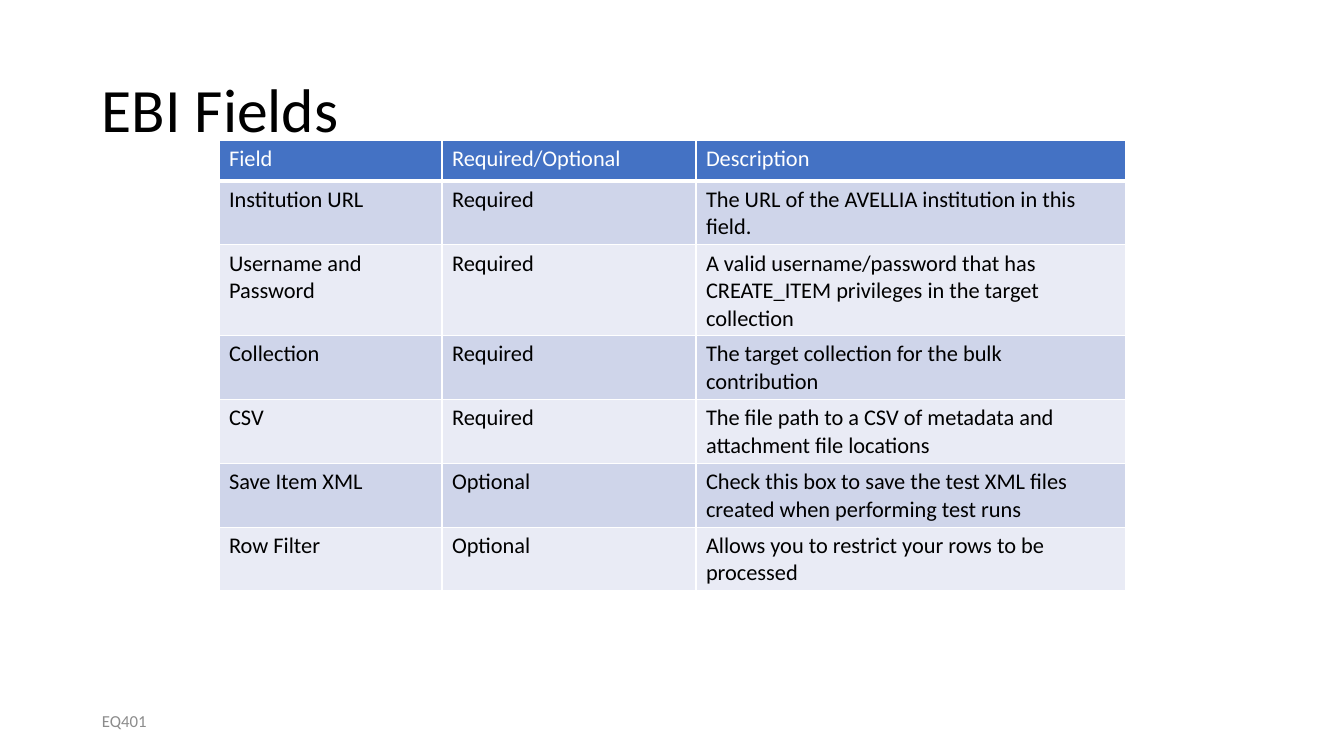
from lxml import etree
from pptx import Presentation
from pptx.dml.color import RGBColor
from pptx.enum.text import MSO_ANCHOR
from pptx.oxml.ns import qn
from pptx.util import Pt

MIDDLE = MSO_ANCHOR.MIDDLE
FONT = "Calibri"
EMU_PER_PX = 914400 / 100.8
WHITE, BLACK, GREY = "FFFFFF", "000000", "8C8C8C"
HEADER_BLUE, DARK_BAND, LIGHT_BAND = "4472C4", "CFD5EA", "E9EBF5"


def px(length):
    return round(length * EMU_PER_PX)


def style_text(frame, size, color):
    for para in frame.paragraphs:
        for span in para.runs:
            span.font.name = FONT
            span.font.size = Pt(size)
            span.font.color.rgb = RGBColor.from_string(color)


deck = Presentation()
deck.slide_width, deck.slide_height = px(1344), px(756)
page = deck.slides.add_slide(deck.slide_layouts[6])

# Title and footer
labels = [
    ("EBI Fields", (92, 40, 1159, 146), 44, BLACK, 0.9),
    ("EQ401", (92, 701, 302, 40), 12, GREY, 1.0),
]
for text, place, size, color, spacing in labels:
    box = page.shapes.add_textbox(*map(px, place))
    frame = box.text_frame
    frame.word_wrap = True
    frame.vertical_anchor = MIDDLE
    frame.text = text
    frame.paragraphs[0].line_spacing = spacing
    style_text(frame, size, color)

# Field table
rows = [
    ("Field", "Required/Optional", "Description"),
    ("Institution URL", "Required", "The URL of the AVELLIA institution in this field."),
    ("Username and Password", "Required",
     "A valid username/password that has CREATE_ITEM privileges in the target collection"),
    ("Collection", "Required", "The target collection for the bulk contribution"),
    ("CSV", "Required", "The file path to a CSV of metadata and attachment file locations"),
    ("Save Item XML", "Optional",
     "Check this box to save the test XML files created when performing test runs"),
    ("Row Filter", "Optional", "Allows you to restrict your rows to be processed"),
]
column_widths = [223, 254, 430]
row_height = 41
table = page.shapes.add_table(
    len(rows), len(column_widths), px(219), px(140),
    px(sum(column_widths)), px(row_height * len(rows))).table
for column, width in zip(table.columns, column_widths):
    column.width = px(width)

for r, texts in enumerate(rows):
    table.rows[r].height = px(row_height)
    is_header = r == 0
    band = HEADER_BLUE if is_header else DARK_BAND if r % 2 else LIGHT_BAND
    for c, text in enumerate(texts):
        cell = table.cell(r, c)
        cell.text_frame.text = text
        style_text(cell.text_frame, 16, WHITE if is_header else BLACK)

        # White borders, heavier under the header
        properties = cell._tc.get_or_add_tcPr()
        for side in ("lnL", "lnR", "lnT", "lnB"):
            weight = 3 if is_header and side == "lnB" else 1
            line = etree.SubElement(properties, qn(f"a:{side}"), w=str(Pt(weight)))
            paint = etree.SubElement(line, qn("a:solidFill"))
            etree.SubElement(paint, qn("a:srgbClr"), val=WHITE)

        cell.fill.solid()
        cell.fill.fore_color.rgb = RGBColor.from_string(band)

deck.save("out.pptx")
